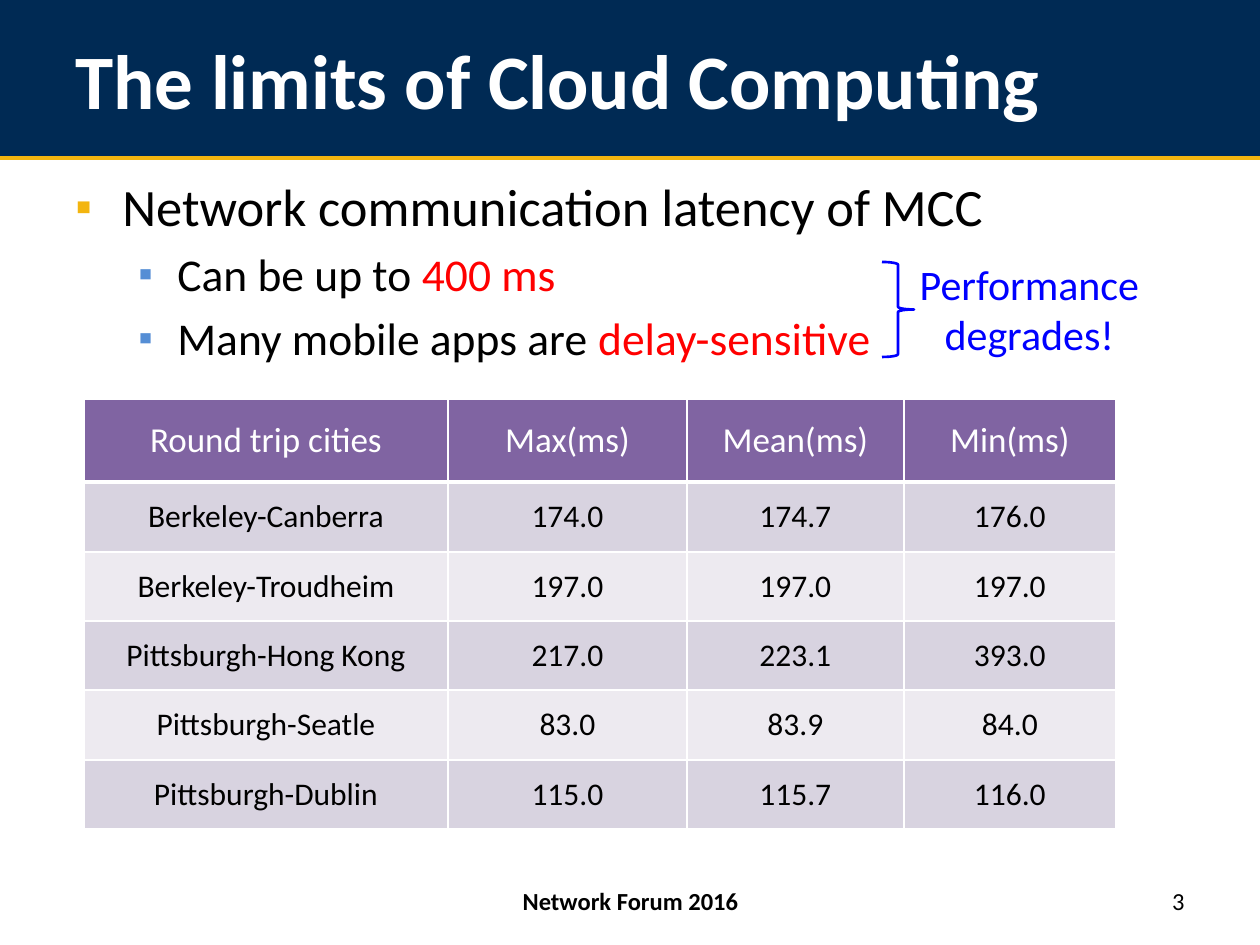
from lxml.etree import SubElement
from pptx import Presentation
from pptx.dml.color import RGBColor
from pptx.enum.shapes import MSO_CONNECTOR, MSO_SHAPE
from pptx.enum.text import MSO_ANCHOR, PP_ALIGN
from pptx.oxml.ns import qn
from pptx.util import Pt

PX = 914400 // 126
FONT = "Calibri"
COLORS = {
    "navy": "002A54", "gold": "F3B50F", "sky": "558ED5", "red": "FF0000",
    "blue": "0000FF", "purple": "8064A2", "dark band": "D8D3E0",
    "light band": "EDEAF0", "white": "FFFFFF", "black": "000000",
}
TITLE = "The limits of Cloud Computing"
BULLETS = [  # level, [(text, color)]
    (0, [("Network communication latency of MCC", "black")]),
    (1, [("Can be up to ", "black"), ("400 ms", "red")]),
    (1, [("Many mobile apps are", "black"), (" delay-sensitive", "red")]),
]
LEVELS = [  # text size, space before, left margin px, hanging px, bullet color
    (30, 6, 47, 47, "gold"),
    (26, 5.2, 102, 39, "sky"),
]
LATENCIES = [
    ("Round trip cities", "Max(ms)", "Mean(ms)", "Min(ms)"),
    ("Berkeley-Canberra", "174.0", "174.7", "176.0"),
    ("Berkeley-Troudheim", "197.0", "197.0", "197.0"),
    ("Pittsburgh-Hong Kong", "217.0", "223.1", "393.0"),
    ("Pittsburgh-Seatle", "83.0", "83.9", "84.0"),
    ("Pittsburgh-Dublin", "115.0", "115.7", "116.0"),
]
COLUMN_WIDTHS = [364, 239, 217, 212]
ROW_HEIGHTS = [83, 70, 69, 69, 70, 69]
NOTES = [  # text, position px, size, bold, color, alignment, anchor, wrap
    ("Performance\ndegrades!", (906, 252, 247, 115), 24, False, "blue",
     PP_ALIGN.CENTER, MSO_ANCHOR.TOP, False),
    ("Network Forum 2016", (410, 876, 441, 50), 14, True, "black",
     PP_ALIGN.CENTER, MSO_ANCHOR.MIDDLE, True),
    ("3", (903, 876, 294, 50), 14, False, "black",
     PP_ALIGN.RIGHT, MSO_ANCHOR.MIDDLE, True),
]


def emu(*lengths):
    return [length * PX for length in lengths]


def rgb(name):
    return RGBColor.from_string(COLORS[name])


def set_font(font, size, color, bold=False):
    font.name, font.size, font.bold = FONT, Pt(size), bold
    font.color.rgb = rgb(color)


def add_bullet(para, left, hanging, color):
    props = para._p.get_or_add_pPr()
    props.set("marL", str(left * PX))
    props.set("indent", str(-hanging * PX))
    SubElement(SubElement(props, qn("a:buClr")), qn("a:srgbClr"), val=COLORS[color])
    SubElement(props, qn("a:buSzPct"), val="90000")
    SubElement(props, qn("a:buFont"), typeface="Arial")
    SubElement(props, qn("a:buChar"), char="▪")


def add_borders(cell, top, bottom):
    """Draw white cell borders; top and bottom are widths in points."""
    props = cell._tc.get_or_add_tcPr()
    for side, width in (("L", 1), ("R", 1), ("T", top), ("B", bottom)):
        line = SubElement(props, qn(f"a:ln{side}"), w=str(Pt(width)))
        fill = SubElement(line, qn("a:solidFill"))
        SubElement(fill, qn("a:srgbClr"), val=COLORS["white"])


def add_header(slide):
    band = slide.shapes.add_shape(MSO_SHAPE.RECTANGLE, *emu(0, 0, 1260, 158))
    band.shadow.inherit = False
    band.fill.solid()
    band.fill.fore_color.rgb = rgb("navy")
    band.line.fill.background()

    rule = slide.shapes.add_connector(MSO_CONNECTOR.STRAIGHT, *emu(0, 158, 1260, 158))
    rule.line.color.rgb = rgb("gold")
    rule.line.width = Pt(2.5)
    SubElement(rule.element.spPr, qn("a:effectLst"))

    title = slide.shapes.title
    title.element.getparent().append(title.element)  # in front of the band
    title.left, title.top, title.width, title.height = emu(63, 0, 1197, 158)
    title.text_frame.text = TITLE
    title.text_frame.vertical_anchor = MSO_ANCHOR.MIDDLE
    para = title.text_frame.paragraphs[0]
    para.alignment = PP_ALIGN.LEFT
    set_font(para.font, 44, "white", bold=True)


def add_bullets(slide):
    frame = slide.shapes.add_textbox(*emu(63, 168, 1134, 693)).text_frame
    frame.word_wrap = True
    for index, (level, spans) in enumerate(BULLETS):
        para = frame.add_paragraph() if index else frame.paragraphs[0]
        size, space, left, hanging, bullet_color = LEVELS[level]
        para.level = level
        para.space_before = Pt(space)
        add_bullet(para, left, hanging, bullet_color)
        for text, color in spans:
            span = para.add_run()
            span.text = text
            set_font(span.font, size, color)


def add_latency_table(slide):
    table = slide.shapes.add_table(
        len(ROW_HEIGHTS), len(COLUMN_WIDTHS),
        *emu(84, 399, sum(COLUMN_WIDTHS), sum(ROW_HEIGHTS))).table
    for column, width in zip(table.columns, COLUMN_WIDTHS):
        column.width = width * PX
    for row_index, (row, values) in enumerate(zip(table.rows, LATENCIES)):
        row.height = ROW_HEIGHTS[row_index] * PX
        if row_index == 0:
            size, color, fill = 20, "white", "purple"
        else:
            size, color = 18, "black"
            fill = "dark band" if row_index % 2 else "light band"
        for cell, value in zip(row.cells, values):
            add_borders(cell, 3 if row_index == 1 else 1, 3 if row_index == 0 else 1)
            cell.fill.solid()
            cell.fill.fore_color.rgb = rgb(fill)
            cell.vertical_anchor = MSO_ANCHOR.MIDDLE
            cell.text = value
            para = cell.text_frame.paragraphs[0]
            para.alignment = PP_ALIGN.CENTER
            set_font(para.font, size, color)


def add_brace(slide):
    brace = slide.shapes.add_shape(MSO_SHAPE.RIGHT_BRACE, *emu(882, 262, 32, 95))
    brace.shadow.inherit = False
    brace.fill.background()
    brace.line.color.rgb = rgb("blue")
    brace.line.width = Pt(1.5)


def add_notes(slide):
    for text, position, size, bold, color, alignment, anchor, wrap in NOTES:
        frame = slide.shapes.add_textbox(*emu(*position)).text_frame
        frame.word_wrap = wrap
        frame.vertical_anchor = anchor
        frame.text = text
        for para in frame.paragraphs:
            para.alignment = alignment
            set_font(para.font, size, color, bold)


def main():
    deck = Presentation()
    deck.slide_width, deck.slide_height = emu(1260, 945)
    slide = deck.slides.add_slide(deck.slide_layouts.get_by_name("Title Only"))
    add_header(slide)
    add_bullets(slide)
    add_latency_table(slide)
    add_brace(slide)
    add_notes(slide)
    deck.save("out.pptx")


if __name__ == "__main__":
    main()
